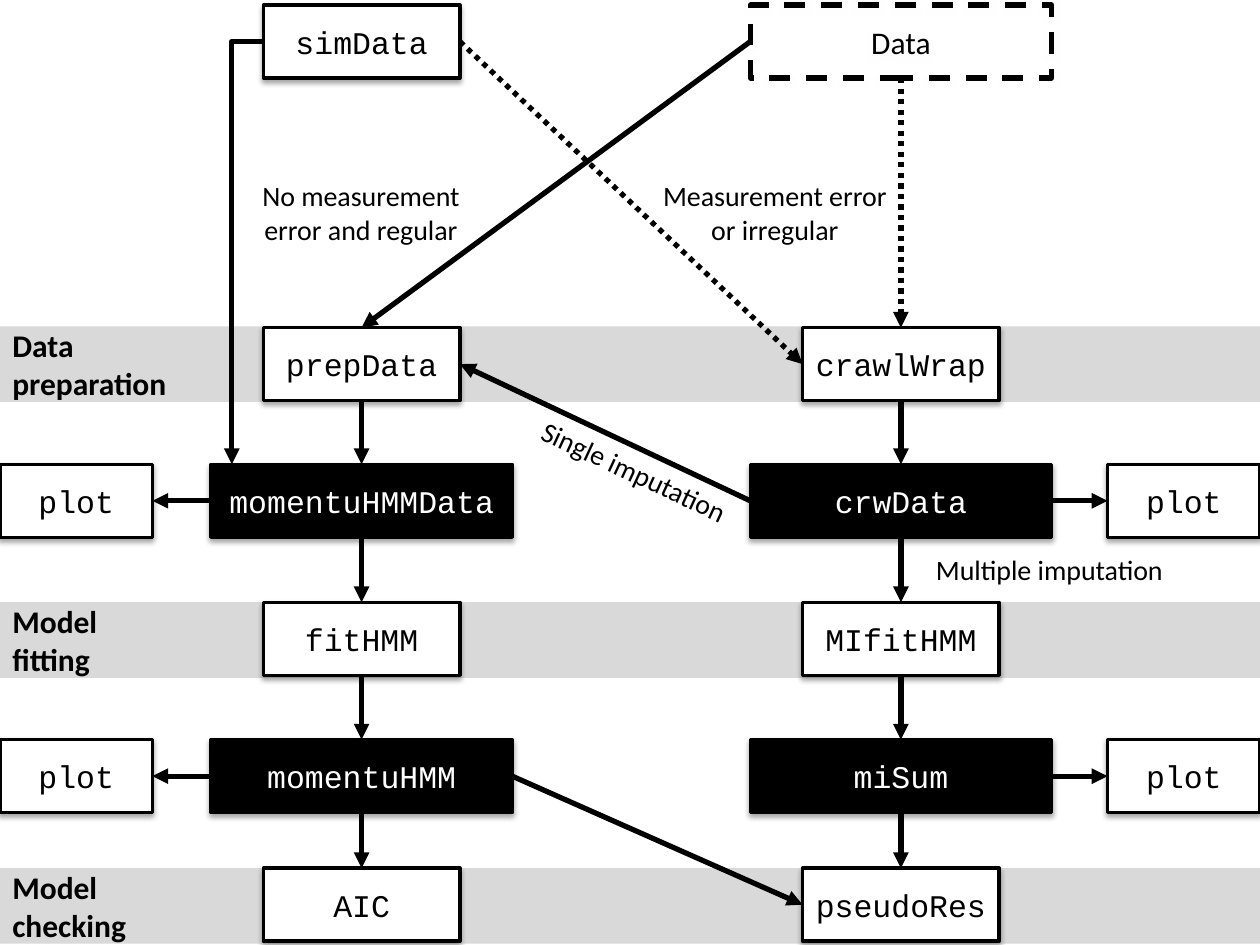
from lxml.etree import SubElement
from pptx import Presentation
from pptx.dml.color import RGBColor
from pptx.enum.dml import MSO_LINE as Dash
from pptx.enum.shapes import MSO_CONNECTOR as Link, MSO_SHAPE as Preset
from pptx.enum.text import MSO_ANCHOR as Anchor, PP_ALIGN as Align
from pptx.oxml.ns import qn
from pptx.util import Inches, Pt

COLORS = {"ink": "000000", "paper": "FFFFFF", "band": "D9D9D9"}
SANS, MONO = "Calibri", "Courier New"
COLUMNS, ROWS = 100, 75
TOP, LEFT, BOTTOM, RIGHT = range(4)


class FlowPage:
    """Draws on one slide; lengths are grid columns and rows."""

    def __init__(self, deck):
        self.page = deck.slides.add_slide(deck.slide_layouts[6])
        self.column = deck.slide_width / COLUMNS
        self.row = deck.slide_height / ROWS

    def place(self, *lengths):
        units = (self.column, self.row) * 2
        return [round(length * unit) for length, unit in zip(lengths, units)]

    def color(self, name):
        return RGBColor.from_string(COLORS[name])

    def set_text(self, shape, text, font, size, color="ink", align=Align.LEFT, bold=False):
        frame = shape.text_frame
        frame.word_wrap = True
        frame.text = text
        for para in frame.paragraphs:
            para.alignment = align
            para.font.name, para.font.size, para.font.bold = font, Pt(size), bold
            para.font.color.rgb = self.color(color)

    def rectangle(self, place, fill=None):
        shape = self.page.shapes.add_shape(Preset.RECTANGLE, *self.place(*place))
        shape.shadow.inherit = False
        shape.text_frame.vertical_anchor = Anchor.MIDDLE
        if fill:
            shape.fill.solid()
            shape.fill.fore_color.rgb = self.color(fill)
        else:
            shape.fill.background()
        return shape

    def band(self, top, text):
        shape = self.rectangle((0, top, COLUMNS, 6), "band")
        shape.line.fill.background()
        self.set_text(shape, text, SANS, 18, bold=True)

    def stroke(self, line, width, dash=None):
        line.color.rgb = self.color("ink")
        line.width = Pt(width)
        if dash:
            line.dash_style = dash

    def shade(self, shape, color, alpha):
        effects = shape.element.spPr.find(qn("a:effectLst"))
        shadow = SubElement(effects, qn("a:outerShdw"), blurRad=str(Pt(3.1)),
                            dist=str(Pt(1.8)), dir="5400000", rotWithShape="0")
        tint = SubElement(shadow, qn("a:srgbClr"), val=COLORS[color])
        SubElement(tint, qn("a:alpha"), val=str(alpha * 1000))

    def box(self, text, center, top, width, fill="paper", font=MONO, dash=None):
        shape = self.rectangle((center - width / 2, top, width, 5.8), fill)
        self.stroke(shape.line, 3 if dash else 2, dash)
        self.shade(shape, *(("ink", 35) if fill else ("paper", 100)))
        self.set_text(shape, text, font, 18, "paper" if fill == "ink" else "ink", Align.CENTER)
        return shape

    def label(self, text, place, align=Align.LEFT, rotation=0):
        shape = self.page.shapes.add_textbox(*self.place(*place))
        shape.rotation = rotation
        self.set_text(shape, text, SANS, 16, align=align)

    def finish_arrow(self, arrow, dash=None):
        self.stroke(arrow.line, 3, dash)
        properties = arrow.element.spPr
        SubElement(properties.find(qn("a:ln")), qn("a:tailEnd"), type="triangle")
        SubElement(properties, qn("a:effectLst"))

    def arrow(self, start, start_side, end, end_side, dash=None):
        arrow = self.page.shapes.add_connector(Link.STRAIGHT, 0, 0, 0, 0)
        arrow.begin_connect(start, start_side)
        arrow.end_connect(end, end_side)
        self.finish_arrow(arrow, dash)

    def corner_arrow(self, *ends):
        arrow = self.page.shapes.add_connector(Link.ELBOW, *self.place(*ends))
        arrow.element.spPr.find(qn("a:prstGeom")).set("prst", "bentConnector2")
        self.finish_arrow(arrow)


def main():
    deck = Presentation()
    deck.slide_width, deck.slide_height = Inches(10), Inches(7.5)
    flow = FlowPage(deck)

    # Stage bands
    for top, text in ((25.9, "Data\npreparation"), (47.8, "Model\nfitting"),
                      (68.9, "Model\nchecking")):
        flow.band(top, text)

    # Two pipelines: functions are white and narrow, objects black and wide
    narrow, wide, side = 15.6, 23.9, 12.1
    single, multiple = 28.7, 71.5
    tops = (26, 36.85, 47.8, 58.7, 68.9)
    pipelines = {
        single: ("prepData", "momentuHMMData", "fitHMM", "momentuHMM", "AIC"),
        multiple: ("crawlWrap", "crwData", "MIfitHMM", "miSum", "pseudoRes"),
    }
    boxes = {}
    for center, names in pipelines.items():
        for index, (name, top) in enumerate(zip(names, tops)):
            style = (wide, "ink") if index % 2 else (narrow, "paper")
            boxes[name] = flow.box(name, center, top, *style)
        for upper, lower in zip(names, names[1:]):
            flow.arrow(boxes[upper], BOTTOM, boxes[lower], TOP)

    # Plots beside the objects
    for center, out, back in ((side / 2, LEFT, RIGHT), (COLUMNS - side / 2, RIGHT, LEFT)):
        names = pipelines[single if out == LEFT else multiple]
        for index in (1, 3):
            plot = flow.box("plot", center, tops[index], side)
            flow.arrow(boxes[names[index]], out, plot, back)

    # Sources
    simulated = flow.box("simData", single, 0.4, narrow)
    data = flow.box("Data", multiple, 0.4, wide, None, SANS, Dash.DASH)

    # Arrows across the pipelines
    flow.arrow(data, LEFT, boxes["prepData"], TOP)
    flow.arrow(data, BOTTOM, boxes["crawlWrap"], TOP, Dash.ROUND_DOT)
    flow.arrow(simulated, RIGHT, boxes["crawlWrap"], LEFT, Dash.ROUND_DOT)
    flow.arrow(boxes["crwData"], LEFT, boxes["prepData"], RIGHT)
    flow.arrow(boxes["momentuHMM"], RIGHT, boxes["pseudoRes"], LEFT)
    flow.corner_arrow(single - narrow / 2, 3.3, 18.4, tops[1])

    # Labels
    flow.label("No measurement error and regular", (17.9, 13.7, 21.5, 6.4), Align.CENTER)
    flow.label("Measurement error\nor irregular", (51.4, 13.7, 20.2, 6.4), Align.CENTER)
    flow.label("Single imputation", (41.2, 36.7, 23.1, 3.7), rotation=24.9)
    flow.label("Multiple imputation", (73.3, 43.4, 23.1, 3.7))

    deck.save("out.pptx")


if __name__ == "__main__":
    main()
